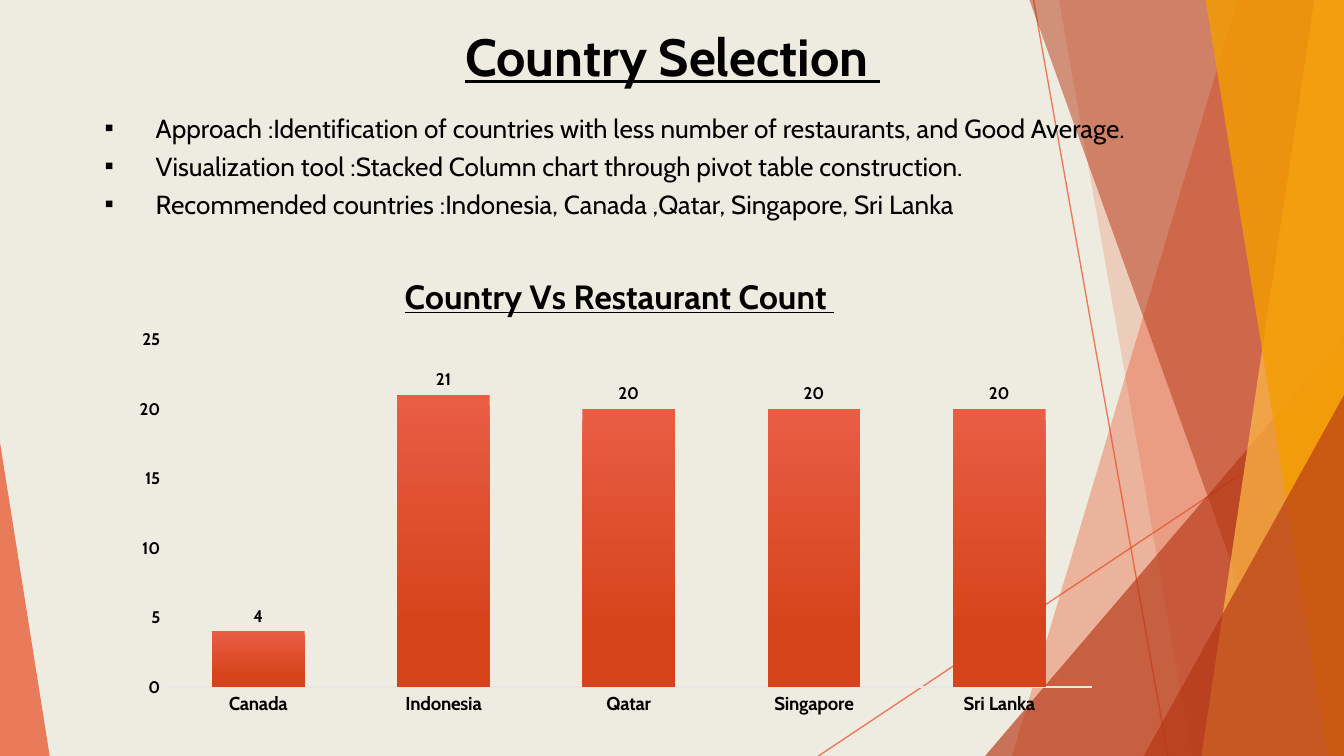
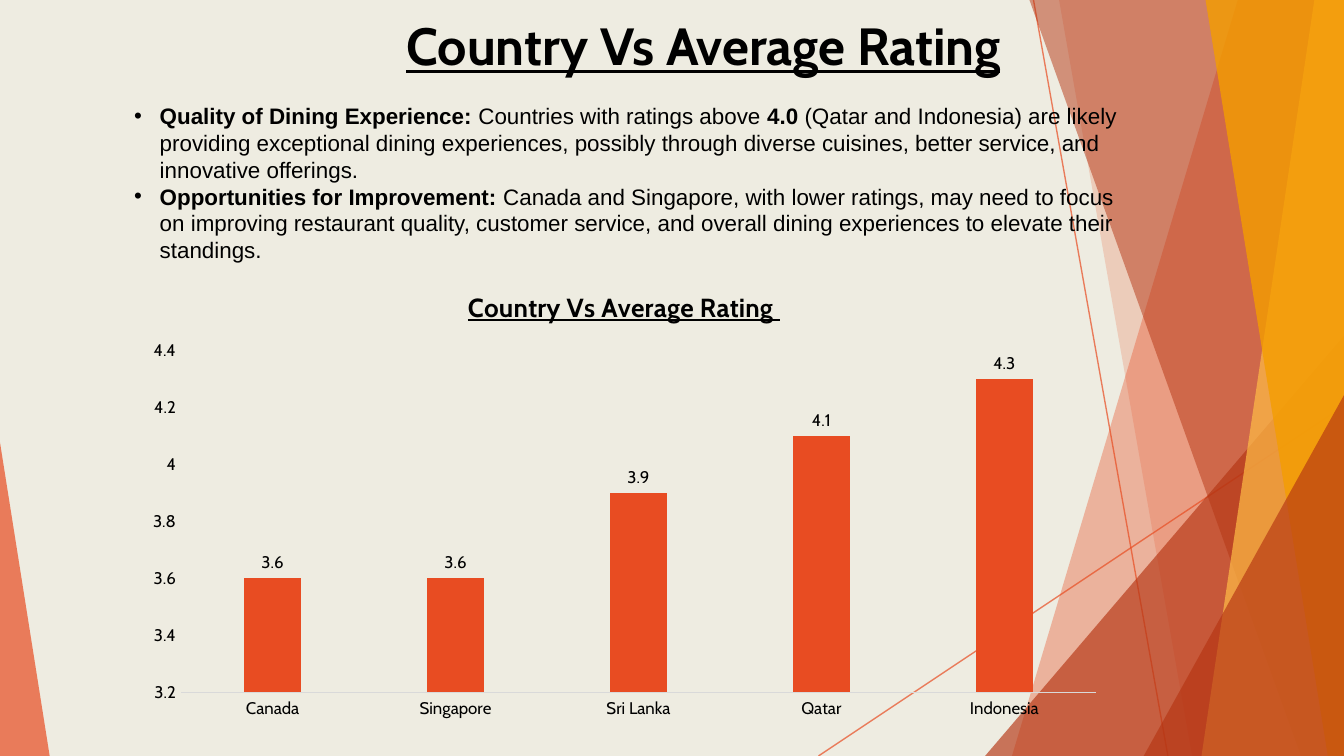
from dataclasses import dataclass

from pptx import Presentation, util as u
from pptx.chart.data import CategoryChartData
from pptx.dml.color import RGBColor
from pptx.enum import chart as charts, shapes, text
from pptx.oxml import parse_xml
from pptx.oxml.ns import nsdecls, qn
from pptx.oxml.xmlchemy import OxmlElement

WIDTH = 10
HEIGHT = WIDTH * 9 / 16


@dataclass(frozen=True)
class Theme:
    paper: str = "EEECE1"
    ink: str = "000000"
    orange: str = "E84C22"
    rust: str = "B53513"
    amber: str = "FFBD47"
    gold: str = "F49D00"
    bar_top: str = "E95D45"
    bar_bottom: str = "D7441C"
    heading: str = "Cabin"
    plain: str = "Arial"
    title_size: float = 28
    approach_size: float = 14
    insight_size: float = 12
    label_size: float = 9


THEME = Theme()

RAYS = [((7.69, 0), (8.69, HEIGHT)), ((10, 3.02), (6.09, HEIGHT))]
RAY_OPACITY = 70

# Slabs: left edge at the top and at the bottom, always reaching the right side.
# Peaks: left, top, width, and the side (0 or 1) of the tip; they stand on the bottom.
FACETS = [
    ("slab", (9.21, 7.53), THEME.orange, 36),
    ("slab", (7.88, 8.87), THEME.orange, 20),
    ("peak", (7.33, 2.5, 2.67, 1), THEME.rust, 66),
    ("slab", (7.66, 9.68), THEME.rust, 50),
    ("slab", (9.78, 8.94), THEME.amber, 70),
    ("slab", (8.97, 9.88), THEME.gold, 80),
    ("peak", (8.51, 2.94, 1.49, 1), THEME.rust, 66),
    ("peak", (0, 3.29, 0.37, 0), THEME.orange, 70),
]

# Bullet paragraphs are lists of (text, bold) pieces.
# A chart's title_at and plot are percentages of the chart's box.
SLIDES = [
    dict(
        title="Country Selection ",
        title_box=(0.9, 0.08, 8.21, 0.78),
        bullets=[
            [("Approach :Identification of countries with less number of "
              "restaurants, and Good Average.", False)],
            [("Visualization tool :Stacked Column chart through pivot table "
              "construction.", False)],
            [("Recommended countries :Indonesia, Canada ,Qatar, Singapore, "
              "Sri Lanka", False)],
        ],
        bullet_box=(0.67, 0.7, 8.62, 1.15),
        bullet_style=dict(mark="▪", indent=0.39, hang=0.38, inset=0.1, spacing=1.15,
                          before=1, font=THEME.heading, size=THEME.approach_size),
        chart=dict(
            title="Country Vs Restaurant Count ", title_size=18, title_at=(28, 3.8),
            box=(0.9, 1.85, 7.38, 3.54), plot=(4.5, 19.1, 93.4, 73.1),
            values={"Canada": 4, "Indonesia": 21, "Qatar": 20, "Singapore": 20,
                    "Sri Lanka": 20},
            scale=(0, 25, 5), gap=100, overlap=-24, bold=True, category_size=10,
            axis_line="E6E6E2", fill=(THEME.bar_top, THEME.bar_bottom),
        ),
    ),
    dict(
        title="Country Vs Average Rating",
        title_box=(1.16, 0, 8.15, 1.55),
        bullets=[
            [("Quality of Dining Experience: ", True),
             ("Countries with ratings above ", False), ("4.0", True),
             (" (Qatar and Indonesia) are likely providing exceptional dining "
              "experiences, possibly through diverse cuisines, better service, and "
              "innovative offerings.", False)],
            [("Opportunities for Improvement: ", True),
             ("Canada and Singapore, with lower ratings, may need to focus on "
              "improving restaurant quality, customer service, and overall dining "
              "experiences to elevate their standings.", False)],
        ],
        bullet_box=(-0.1, 0.7, 8.62, 1.43),
        bullet_style=dict(mark="•", indent=1.19, hang=0.19, inset=0.06, spacing=1,
                          before=0, font=THEME.plain, size=THEME.insight_size),
        chart=dict(
            title="Country Vs Average Rating ", title_size=14, title_at=(33.6, 3.4),
            box=(0.99, 2, 7.31, 3.41), plot=(4.9, 17.8, 93.1, 74.7),
            values={"Canada": 3.6, "Singapore": 3.6, "Sri Lanka": 3.9, "Qatar": 4.1,
                    "Indonesia": 4.3},
            scale=(3.2, 4.4, 0.2), gap=219, overlap=-27, bold=False, category_size=9,
            axis_line="D9D9D9", fill=(THEME.orange,),
        ),
    ),
]


def rgb(colour):
    return RGBColor.from_string(colour)


def inches(lengths):
    return [u.Inches(length) for length in lengths]


def style_font(font, size, name=THEME.heading, bold=False, underline=False):
    font.name, font.size = name, u.Pt(size)
    font.bold, font.underline = bold, underline
    font.color.rgb = rgb(THEME.ink)


def set_opacity(shape, percent):
    for colour in shape.element.spPr.iter(qn("a:srgbClr")):
        alpha = OxmlElement("a:alpha")
        alpha.set("val", str(percent * 1000))
        colour.append(alpha)


def draw_slab(group, top_x, bottom_x):
    outline = group.build_freeform(*inches((top_x, 0)))
    outline.add_line_segments(
        [inches(point) for point in
         ((WIDTH, 0), (WIDTH, HEIGHT), (bottom_x, HEIGHT))], close=True)
    return outline.convert_to_shape()


def draw_peak(group, left, top, width, tip):
    peak = group.add_shape(shapes.MSO_SHAPE.ISOSCELES_TRIANGLE,
                           *inches((left, top, width, HEIGHT - top)))
    peak.adjustments[0] = tip
    return peak


def draw_backdrop(slide):
    slide.background.fill.solid()
    slide.background.fill.fore_color.rgb = rgb(THEME.paper)
    group = slide.shapes.add_group_shape().shapes
    for start, end in RAYS:
        ray = group.add_connector(shapes.MSO_CONNECTOR.STRAIGHT,
                                  *inches(start + end))
        ray.line.color.rgb = rgb(THEME.orange)
        ray.line.width = u.Pt(0.75)
        ray.element.spPr.append(OxmlElement("a:effectLst"))
        set_opacity(ray, RAY_OPACITY)
    draw = {"slab": draw_slab, "peak": draw_peak}
    for kind, geometry, colour, opacity in FACETS:
        facet = draw[kind](group, *geometry)
        facet.shadow.inherit = False
        facet.line.fill.background()
        facet.fill.solid()
        facet.fill.fore_color.rgb = rgb(colour)
        set_opacity(facet, opacity)


def add_frame(slide, box, inset):
    frame = slide.shapes.add_textbox(*inches(box)).text_frame
    frame.word_wrap = True
    frame.vertical_anchor = text.MSO_ANCHOR.TOP
    frame.margin_left = frame.margin_right = u.Inches(0.1)
    frame.margin_top = frame.margin_bottom = u.Inches(inset)
    return frame


def add_title(slide, title, box):
    heading = add_frame(slide, box, 0.1).paragraphs[0]
    heading.text = title
    heading.alignment = text.PP_ALIGN.CENTER
    style_font(heading.font, THEME.title_size, bold=True, underline=True)


def add_bullets(slide, bullets, box, style):
    frame = add_frame(slide, box, style["inset"])
    for index, pieces in enumerate(bullets):
        bullet = frame.add_paragraph() if index else frame.paragraphs[0]
        bullet.line_spacing = style["spacing"]
        bullet.space_before = u.Pt(style["before"])
        style_font(bullet.font, style["size"], style["font"])
        for words, bold in pieces:
            piece = bullet.add_run()
            piece.text = words
            if bold:
                piece.font.bold = True
        properties = bullet._p.get_or_add_pPr()
        properties.set("marL", str(u.Inches(style["indent"])))
        properties.set("indent", str(-u.Inches(style["hang"])))
        for tag, key, value in (("a:buFont", "typeface", THEME.plain),
                                ("a:buChar", "char", style["mark"])):
            mark = OxmlElement(tag)
            mark.set(key, value)
            properties.insert_element_before(mark, "a:tabLst", "a:defRPr", "a:extLst")


def set_layout(part, percents, inner=False):
    """Fix a chart part at percentages (x, y[, w, h]) of the chart's size."""
    keys = "xywh"[:len(percents)]
    target = '<c:layoutTarget val="inner"/>' if inner else ""
    modes = "".join(f'<c:{key}Mode val="edge"/>' for key in keys[:2])
    sizes = "".join(f'<c:{key} val="{percent / 100:.3f}"/>'
                    for key, percent in zip(keys, percents))
    layout = parse_xml(f'<c:layout {nsdecls("c")}><c:manualLayout>'
                       f'{target}{modes}{sizes}</c:manualLayout></c:layout>')
    present = part.find(qn("c:layout"))
    if present is None:
        part.insert(0, layout)
    else:
        part.replace(present, layout)


def fill_bars(fill, colours):
    if len(colours) == 1:
        fill.solid()
        fill.fore_color.rgb = rgb(colours[0])
        return
    fill.gradient()
    fill.gradient_angle = 270
    for stop, colour, position in zip(fill.gradient_stops, colours, (0, 0.78)):
        stop.color.rgb = rgb(colour)
        stop.position = position


def add_column_chart(slide, content):
    data = CategoryChartData()
    data.categories = list(content["values"])
    data.add_series("Series 1", list(content["values"].values()))
    chart = slide.shapes.add_chart(charts.XL_CHART_TYPE.COLUMN_CLUSTERED,
                                   *inches(content["box"]), data).chart
    style_font(chart.font, 10)
    chart.has_legend = False
    chart.has_title = True
    heading = chart.chart_title.text_frame.paragraphs[0]
    heading.text = content["title"]
    style_font(heading.font, content["title_size"], bold=True, underline=True)
    set_layout(chart.chart_title._element, content["title_at"])
    set_layout(chart._chartSpace.chart.plotArea, content["plot"], inner=True)

    countries, scale = chart.category_axis, chart.value_axis
    for axis, size in ((countries, content["category_size"]),
                       (scale, THEME.label_size)):
        axis.has_major_gridlines = False
        axis.major_tick_mark = axis.minor_tick_mark = charts.XL_TICK_MARK.NONE
        style_font(axis.tick_labels.font, size, bold=content["bold"])
    countries.format.line.color.rgb = rgb(content["axis_line"])
    countries.format.line.width = u.Pt(0.75)
    scale.format.line.fill.background()
    scale.minimum_scale, scale.maximum_scale, scale.major_unit = content["scale"]

    plot = chart.plots[0]
    plot.gap_width, plot.overlap = content["gap"], content["overlap"]
    plot.vary_by_categories = False
    bars = plot.series[0]
    fill_bars(bars.format.fill, content["fill"])
    labels = bars.data_labels
    labels.show_value = True
    labels.position = charts.XL_LABEL_POSITION.OUTSIDE_END
    style_font(labels.font, THEME.label_size, bold=content["bold"])


def main():
    deck = Presentation()
    deck.slide_width, deck.slide_height = inches((WIDTH, HEIGHT))
    for content in SLIDES:
        slide = deck.slides.add_slide(deck.slide_layouts[6])
        draw_backdrop(slide)
        add_title(slide, content["title"], content["title_box"])
        add_column_chart(slide, content["chart"])
        add_bullets(slide, content["bullets"], content["bullet_box"],
                    content["bullet_style"])
    deck.save("out.pptx")


if __name__ == "__main__":
    main()
